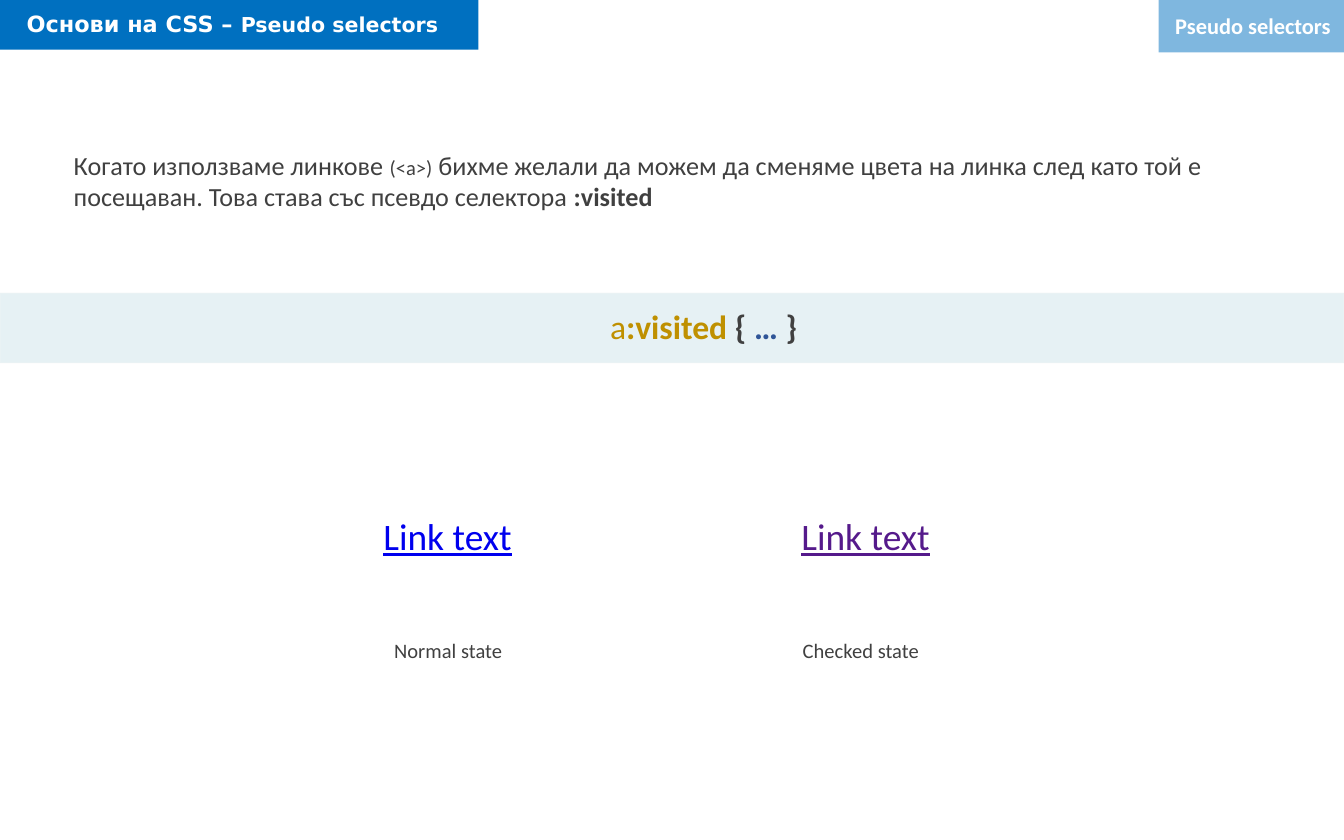
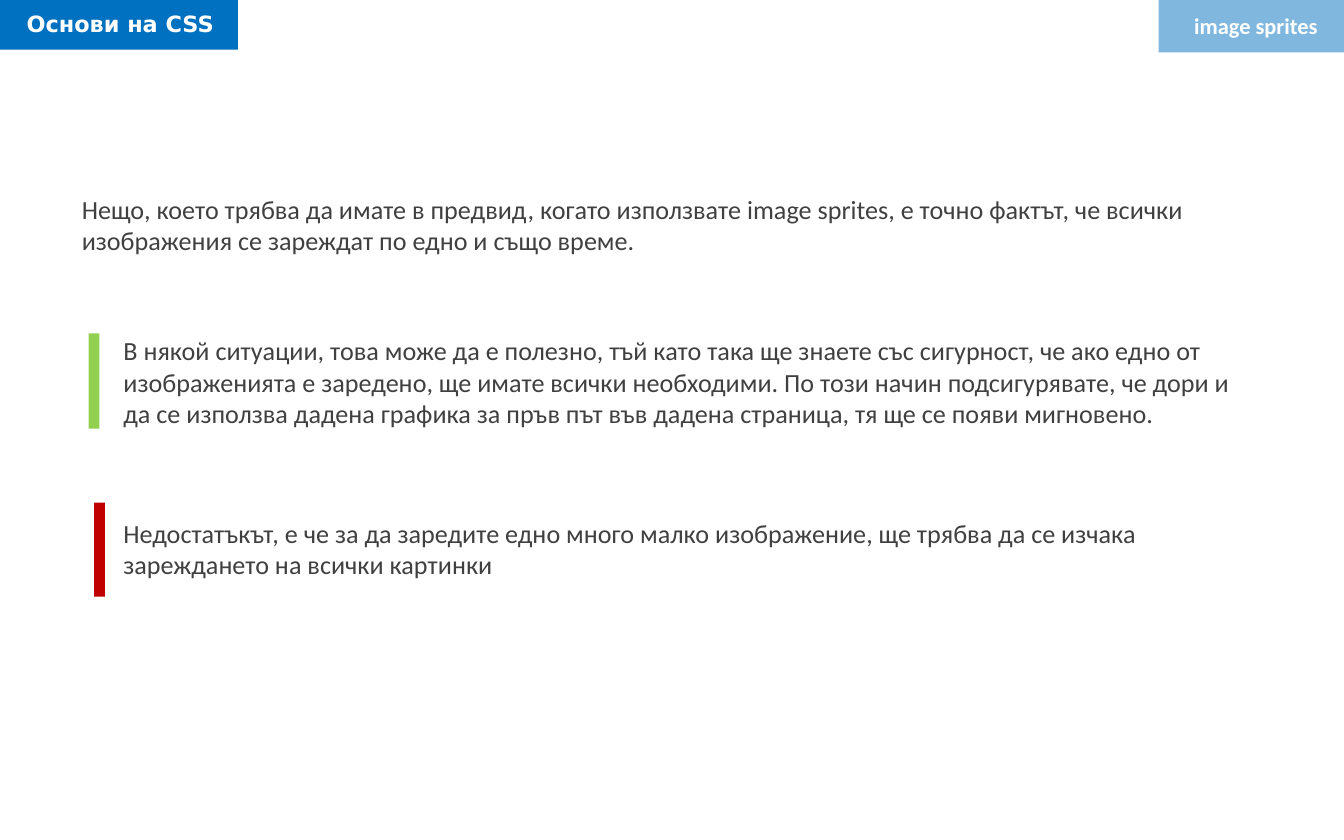
from lxml.etree import SubElement
from pptx import Presentation
from pptx.dml.color import RGBColor
from pptx.enum.shapes import MSO_SHAPE
from pptx.enum.text import MSO_AUTO_SIZE, PP_ALIGN
from pptx.oxml.ns import qn
from pptx.util import Inches, Pt

COLORS = {
    "brand": "0070C0", "white": "FFFFFF", "body": "404040",
    "code_band": "127994", "code_edge": "F8F8F8", "selector": "BF9000",
    "rules": "2F5597", "link": "0000EE", "visited": "551A8B",
    "benefit": "92D050", "drawback": "C00000",
}
WIDTH, HEIGHT = Inches(10), Inches(6.25)
BODY_FONT, TITLE_FONT = "Calibri", "DejaVu Sans"
LEFT, CENTER, RIGHT = PP_ALIGN.LEFT, PP_ALIGN.CENTER, PP_ALIGN.RIGHT
BAND_HEIGHT = 6.24
TAB_LEFT, TAB_WIDTH = 86.2, 13.8

VISITED_INTRO = [
    ("Когато използваме линкове ", {}),
    ("(<a>)", {"size": 11}),
    (" бихме желали да можем да сменяме цвета на линка след като той е "
     "посещаван. Това става със псевдо селектора ", {}),
    (":visited", {"bold": True}),
]
VISITED_RULE = [
    ("a", {"color": "selector"}),
    (":visited ", {"color": "selector", "bold": True}),
    ("{ ", {"color": "body", "bold": True}),
    ("… ", {"color": "rules", "bold": True}),
    ("}", {"color": "body", "bold": True}),
]
LINK_STATES = [
    ("Link text", "link", 26.7, "Normal state", 27.1),
    ("Link text", "visited", 57.8, "Checked state", 57.8),
]
SPRITES_INTRO = (
    "Нещо, което трябва да имате в предвид, когато използвате image sprites, "
    "е точно фактът, че всички изображения се зареждат по едно и също време."
)
SPRITES_POINTS = [
    ("benefit", (6.6, 39.68, 0.8, 11.36), (8.2, 39.04, 86.6, 12.96),
     "В някой ситуации, това може да е полезно, тъй като така ще знаете със "
     "сигурност, че ако едно от изображенията е заредено, ще имате всички "
     "необходими. По този начин подсигурявате, че дори и да се използва дадена "
     "графика за пръв път във дадена страница, тя ще се появи мигновено."),
    ("drawback", (7, 59.84, 0.8, 11.2), (8.2, 60.8, 84.3, 9.12),
     "Недостатъкът, е че за да заредите едно много малко изображение, ще "
     "трябва да се изчака зареждането на всички картинки"),
]


def place(left, top, width, height):
    """Turn percentages of the slide into lengths."""
    return (int(WIDTH * left / 100), int(HEIGHT * top / 100),
            int(WIDTH * width / 100), int(HEIGHT * height / 100))


def paint(fill, color, opacity=100):
    """Apply a solid colour with the given opacity in percent."""
    fill.solid()
    fill.fore_color.rgb = RGBColor.from_string(COLORS[color])
    if opacity < 100:
        solid = fill._xPr.find(qn("a:solidFill"))
        SubElement(solid[0], qn("a:alpha"), val=str(opacity * 1000))


def add_band(slide, box, color, opacity=100):
    """Add a plain rectangle."""
    band = slide.shapes.add_shape(MSO_SHAPE.RECTANGLE, *place(*box))
    band.shadow.inherit = False
    paint(band.fill, color, opacity)
    band.line.fill.background()
    return band


def style(font, size=None, color=None, bold=None, underline=None, name=None):
    """Set the font properties that are given."""
    if size:
        font.size = Pt(size)
    if color:
        font.color.rgb = RGBColor.from_string(COLORS[color])
    if bold:
        font.bold = True
    if underline:
        font.underline = True
    if name:
        font.name = name


def add_text(slide, box, content, align=LEFT, **look):
    """Add a paragraph of one text or of several styled runs."""
    frame = slide.shapes.add_textbox(*place(*box)).text_frame
    frame.word_wrap = True
    frame.auto_size = MSO_AUTO_SIZE.SHAPE_TO_FIT_TEXT
    paragraph = frame.paragraphs[0]
    paragraph.alignment = align
    shared = {"size": 14, "color": "body", "name": BODY_FONT, **look}
    style(paragraph.font, **shared)
    runs = [(content, {})] if isinstance(content, str) else content
    for words, changes in runs:
        run = paragraph.add_run()
        run.text = words
        style(run.font, **changes)


def add_header(slide, title, title_width, topic, topic_left, topic_width, align):
    """Add the title band and the topic tab."""
    add_band(slide, (0, -0.32, title_width, BAND_HEIGHT), "brand")
    add_text(slide, (1, 0.48, title_width, 4.8), title,
             size=12, color="white", bold=True, name=TITLE_FONT)
    add_band(slide, (TAB_LEFT, 0, TAB_WIDTH, BAND_HEIGHT), "brand", 50)
    add_text(slide, (topic_left, 0.64, topic_width, 4.8), topic, align,
             size=12, color="white", bold=True)


def build_visited(slide):
    """Build the slide on the visited selector."""
    title = [("Основи на CSS – ", {}), ("Pseudo selectors", {"size": 11})]
    add_header(slide, title, 35.6, "Pseudo selectors", TAB_LEFT, TAB_WIDTH, RIGHT)
    add_text(slide, (4.5, 16.96, 92.8, 9.12), VISITED_INTRO)
    code_band = add_band(slide, (0, 34.88, 100, 8.32), "code_band", 10)
    code_band.line.width = Pt(1)
    paint(code_band.line.fill, "code_edge", 16)
    add_text(slide, (42.1, 35.68, 20.5, 6.4), VISITED_RULE, CENTER, size=18)
    for link, color, link_left, state, state_left in LINK_STATES:
        add_text(slide, (link_left, 60.32, 13.2, 7.04), link, CENTER,
                 size=20, color=color, underline=True)
        add_text(slide, (state_left, 75.2, 12.5, 4.64), state, CENTER, size=11)


def build_sprites(slide):
    """Build the slide on image sprites."""
    add_header(slide, "Основи на CSS", 17.7, "image sprites", 87.2, 12.5, CENTER)
    add_text(slide, (5.1, 22.24, 92.8, 9.12), SPRITES_INTRO)
    for color, marker_box, point_box, point in SPRITES_POINTS:
        add_band(slide, marker_box, color)
        add_text(slide, point_box, point)


def main():
    """Build and save the presentation."""
    deck = Presentation()
    deck.slide_width, deck.slide_height = WIDTH, HEIGHT
    for build in (build_visited, build_sprites):
        build(deck.slides.add_slide(deck.slide_layouts[6]))
    deck.save("out.pptx")


if __name__ == "__main__":
    main()
